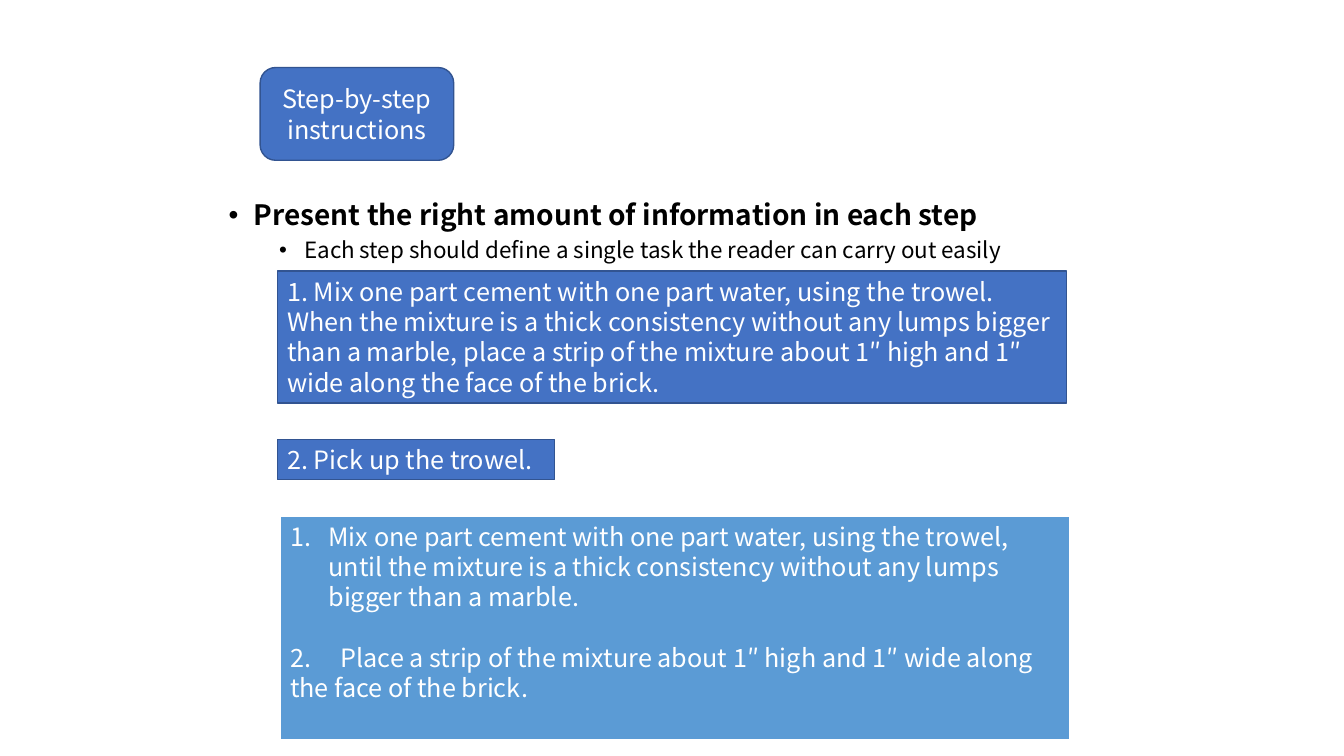
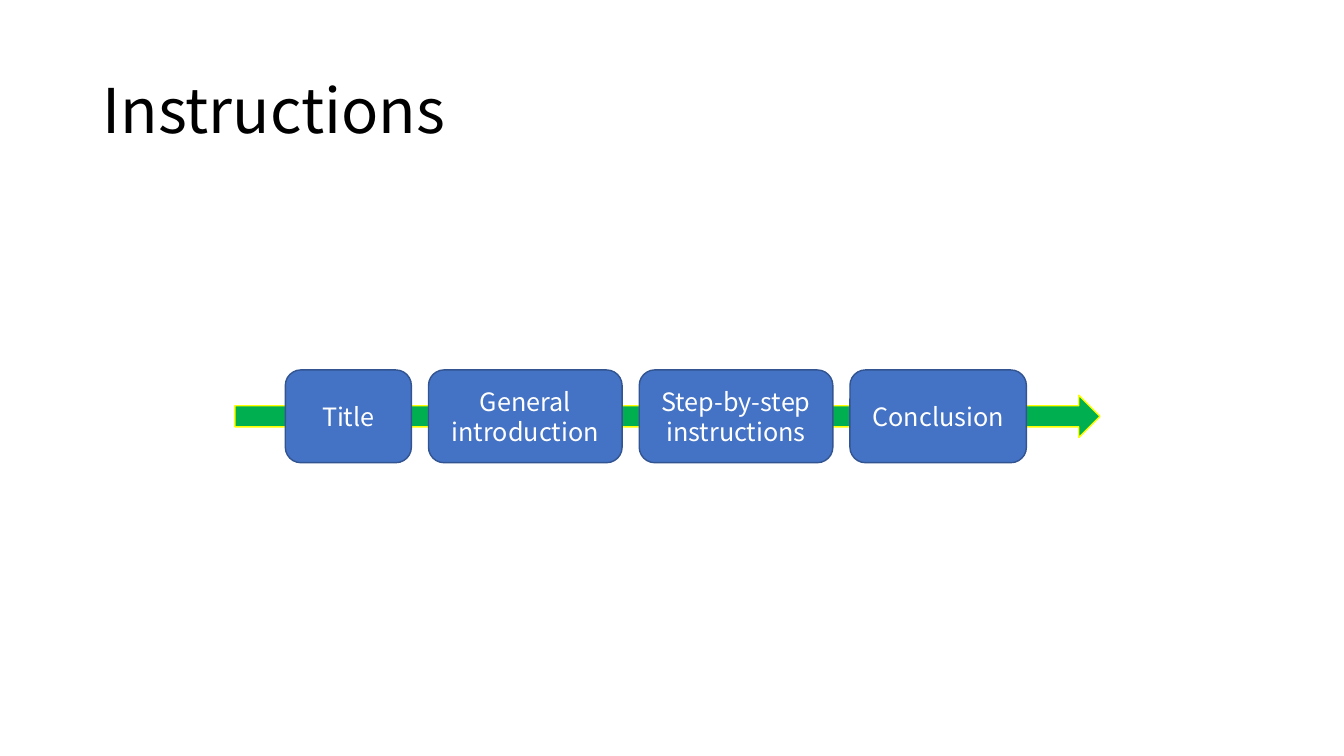
from dataclasses import dataclass

from lxml.etree import SubElement
from pptx import Presentation
from pptx.dml.color import RGBColor
from pptx.enum.shapes import MSO_SHAPE
from pptx.enum.text import MSO_ANCHOR, PP_ALIGN
from pptx.oxml.ns import qn
from pptx.util import Inches, Pt

FONT = "Noto Sans CJK SC"
BLACK = RGBColor(0x00, 0x00, 0x00)
WHITE = RGBColor(0xFF, 0xFF, 0xFF)
BLUE = RGBColor(0x44, 0x72, 0xC4)
DARK_BLUE = RGBColor(0x32, 0x54, 0x91)
LIGHT_BLUE = RGBColor(0x5B, 0x9B, 0xD5)
GREEN = RGBColor(0x00, 0xB0, 0x50)
YELLOW = RGBColor(0xFF, 0xFF, 0x00)

STAGE_HEIGHT = 0.92
STAGE_GAP = 0.17


@dataclass(frozen=True)
class Area:
    left: float
    top: float
    width: float
    height: float

    def lengths(self):
        return [Inches(v) for v in (self.left, self.top, self.width, self.height)]


@dataclass(frozen=True)
class Line:
    text: str
    size: float = 18
    color: RGBColor = WHITE
    bold: bool = False
    level: int = 0
    margin: float = 0
    hanging: float = 0
    bullet: str = ""
    numbered: bool = False
    tab: float = 0
    spacing: float = 1
    before: float = 0
    align: PP_ALIGN = PP_ALIGN.LEFT


@dataclass(frozen=True)
class Stage:
    text: str
    width: float


@dataclass(frozen=True)
class Example:
    area: Area
    lines: tuple[Line, ...]
    fill: RGBColor = BLUE
    outline: RGBColor = DARK_BLUE
    outline_width: float = 1


STAGES = (
    Stage("Title", 1.25),
    Stage("General introduction", 1.92),
    Stage("Step-by-step instructions", 1.92),
    Stage("Conclusion", 1.75),
)

ADVICE = (
    Line("Present the right amount of information in each step", 20, BLACK, True,
         margin=0.25, hanging=0.25, bullet="•", spacing=0.9),
    Line("Each step should define a single task the reader can carry out easily", 16, BLACK,
         level=1, margin=0.75, hanging=0.25, bullet="•", spacing=0.9, before=5),
)

EXAMPLES = (
    Example(Area(2.75, 2.69, 7.83, 1.31), (
        Line("1. Mix one part cement with one part water, using the trowel. "
             "When the mixture is a thick consistency without any lumps bigger than a marble, "
             "place a strip of the mixture about 1″ high and 1″ wide along the face of the brick."),
    )),
    Example(Area(2.75, 4.36, 2.75, 0.4), (Line("2. Pick up the trowel."),)),
    Example(Area(2.78, 5.12, 7.83, 2.22), (
        Line("Mix one part cement with one part water, using the trowel, until the mixture "
             "is a thick consistency without any lumps bigger than a marble.",
             margin=0.38, hanging=0.38, numbered=True),
        Line("2.\tPlace a strip of the mixture about 1″ high and 1″ wide along "
             "the face of the brick.", tab=0.38, before=21.6),
    ), LIGHT_BLUE, WHITE, 1.5),
)


def format_line(paragraph, line: Line) -> None:
    paragraph.text = line.text
    paragraph.level = line.level
    paragraph.alignment = line.align
    paragraph.line_spacing = line.spacing
    paragraph.space_before = Pt(line.before)
    properties = paragraph._p.get_or_add_pPr()
    properties.set("marL", str(Inches(line.margin)))
    properties.set("indent", str(-Inches(line.hanging)))
    if line.bullet:
        SubElement(properties, qn("a:buFont"), typeface="Arial")
        SubElement(properties, qn("a:buChar"), char=line.bullet)
    if line.numbered:
        SubElement(properties, qn("a:buAutoNum"), type="arabicPeriod")
    if line.tab:
        stops = SubElement(properties, qn("a:tabLst"))
        SubElement(stops, qn("a:tab"), pos=str(Inches(line.tab)), algn="l")
    for run in paragraph.runs:
        run.font.name = FONT
        run.font.size = Pt(line.size)
        run.font.bold = line.bold
        run.font.color.rgb = line.color
        SubElement(run._r.get_or_add_rPr(), qn("a:ea"), typeface=FONT)


def write(frame, lines: tuple[Line, ...], anchor: MSO_ANCHOR = MSO_ANCHOR.TOP) -> None:
    frame.word_wrap = True
    frame.vertical_anchor = anchor
    for index, line in enumerate(lines):
        format_line(frame.add_paragraph() if index else frame.paragraphs[0], line)


def add_text(slide, area: Area, lines: tuple[Line, ...],
             anchor: MSO_ANCHOR = MSO_ANCHOR.TOP) -> None:
    write(slide.shapes.add_textbox(*area.lengths()).text_frame, lines, anchor)


def add_block(slide, kind: MSO_SHAPE, area: Area, fill: RGBColor = BLUE,
              outline: RGBColor = DARK_BLUE, outline_width: float = 1):
    block = slide.shapes.add_shape(kind, *area.lengths())
    block.shadow.inherit = False
    block.fill.solid()
    block.fill.fore_color.rgb = fill
    block.line.color.rgb = outline
    block.line.width = Pt(outline_width)
    return block


def add_example(slide, example: Example) -> None:
    block = add_block(slide, MSO_SHAPE.RECTANGLE, example.area, example.fill,
                      example.outline, example.outline_width)
    write(block.text_frame, example.lines)


def add_stage(slide, stage: Stage, left: float, top: float) -> None:
    block = add_block(slide, MSO_SHAPE.ROUNDED_RECTANGLE,
                      Area(left, top, stage.width, STAGE_HEIGHT))
    write(block.text_frame, (Line(stage.text, align=PP_ALIGN.CENTER),), MSO_ANCHOR.MIDDLE)


def build_steps(slide) -> None:
    add_text(slide, Area(2.17, 1.95, 9, 5), ADVICE)
    for example in EXAMPLES:
        add_example(slide, example)
    add_stage(slide, STAGES[2], 2.58, 0.67)


def build_overview(slide) -> None:
    add_text(slide, Area(0.92, 0.4, 11.5, 1.45),
             (Line("Instructions", 44, BLACK, spacing=0.9),), MSO_ANCHOR.MIDDLE)
    add_block(slide, MSO_SHAPE.RIGHT_ARROW, Area(2.33, 3.92, 8.58, 0.42), GREEN, YELLOW)
    left = 2.83
    for stage in STAGES:
        add_stage(slide, stage, left, 3.67)
        left += stage.width + STAGE_GAP


def main() -> None:
    deck = Presentation()
    deck.slide_width = Inches(13.33)
    deck.slide_height = Inches(7.5)
    for build in (build_steps, build_overview):
        build(deck.slides.add_slide(deck.slide_layouts[6]))
    deck.save("out.pptx")


if __name__ == "__main__":
    main()
